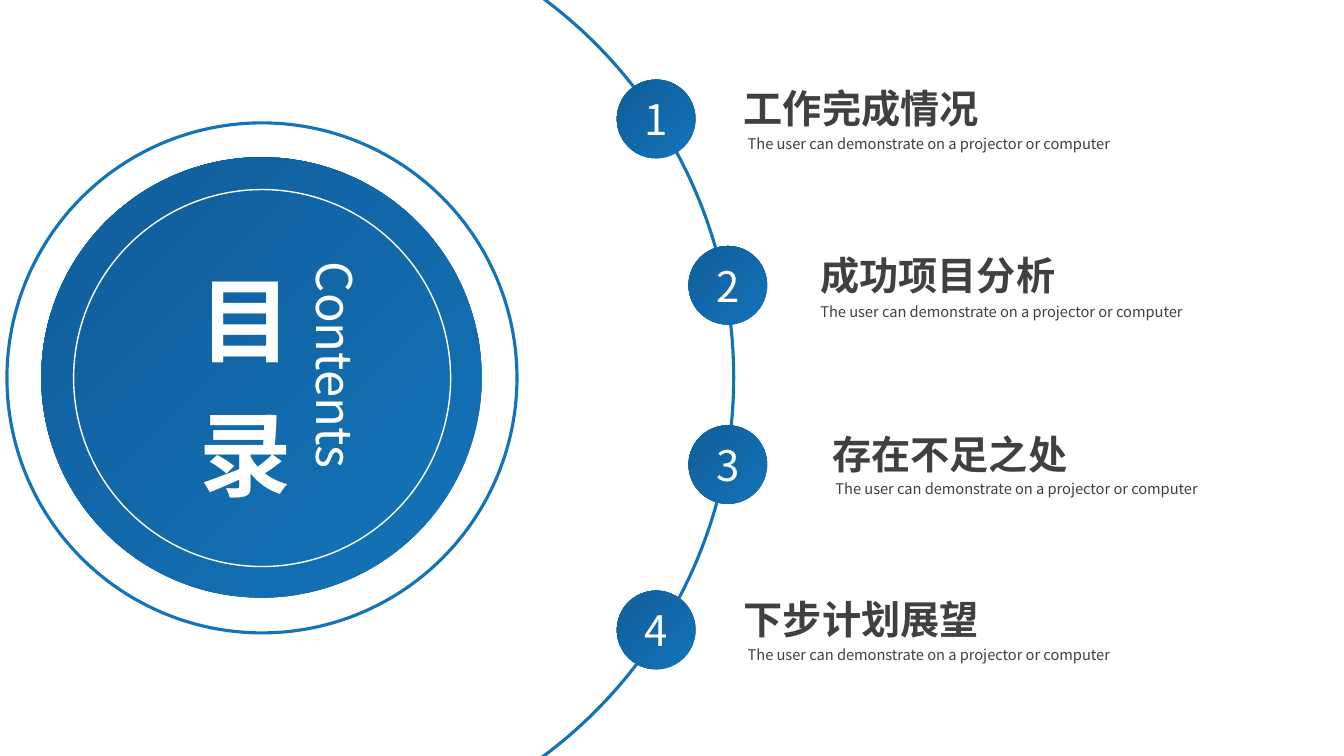
from lxml.etree import SubElement
from pptx import Presentation
from pptx.dml.color import RGBColor
from pptx.enum.shapes import MSO_SHAPE
from pptx.enum.text import MSO_ANCHOR, MSO_AUTO_SIZE, PP_ALIGN
from pptx.oxml.ns import qn
from pptx.util import Pt

FONT = "Noto Sans CJK SC"
BRIGHT_BLUE, DARK_BLUE = "1373B7", "115D9B"
WHITE, GREY = "FFFFFF", "404040"
SUBTITLE = "The user can demonstrate on a projector or computer"
BADGE_SIZE = 56.2

# heading, badge left, badge top, heading left, subtitle left, subtitle top
SECTIONS = [
    ("工作完成情况", 440.6, 56.9, 524.2, 527, 92.9),
    ("成功项目分析", 491.8, 175.7, 578.9, 578.9, 212.4),
    ("存在不足之处", 491.8, 303.8, 587.5, 589.7, 339.1),
    ("下步计划展望", 440.6, 421.9, 524.2, 527, 457.9),
]


def color(value):
    """Turn a hex string into a colour."""
    return RGBColor.from_string(value)


def add_circle(slide, left, top, size, line=None, width=0, filled=True):
    """Add a circle with the blue gradient or no fill, and an optional outline."""
    circle = slide.shapes.add_shape(MSO_SHAPE.OVAL, Pt(left), Pt(top), Pt(size), Pt(size))
    circle.shadow.inherit = False
    if filled:
        circle.fill.gradient()
        circle.fill.gradient_angle = 135
        for stop, shade in zip(circle.fill.gradient_stops, (BRIGHT_BLUE, DARK_BLUE)):
            stop.color.rgb = color(shade)
    else:
        circle.fill.background()
    if line:
        circle.line.color.rgb = color(line)
        circle.line.width = Pt(width)
    else:
        circle.line.fill.background()
    return circle


def write(shape, text, size, shade, bold=False, align=PP_ALIGN.LEFT):
    """Write one formatted paragraph and return its run."""
    shape.text_frame.text = text
    paragraph = shape.text_frame.paragraphs[0]
    paragraph.alignment = align
    paragraph.line_spacing = 1.0
    run = paragraph.runs[0]
    run.font.name = FONT
    run.font.size = Pt(size)
    run.font.bold = bold
    run.font.color.rgb = color(shade)
    SubElement(run.font._element, qn("a:ea")).set("typeface", FONT)
    return run


def add_text(shapes, box, text, size, shade, bold=False, align=PP_ALIGN.LEFT):
    """Add a wrapping text box that grows with its text."""
    label = shapes.add_textbox(*map(Pt, box))
    label.text_frame.word_wrap = True
    label.text_frame.auto_size = MSO_AUTO_SIZE.SHAPE_TO_FIT_TEXT
    write(label, text, size, shade, bold, align)
    return label


def set_vertical(shape):
    """Run the text from top to bottom."""
    shape.text_frame._txBody.bodyPr.set("vert", "eaVert")


def add_title(slide):
    """Place the vertical title above the circles, with widely spaced characters."""
    title = slide.shapes.title
    title.element.getparent().append(title.element)
    title.left, title.top, title.width, title.height = map(Pt, (110, 192, 110, 225))
    frame = title.text_frame
    frame.word_wrap = True
    frame.auto_size = MSO_AUTO_SIZE.NONE
    frame.vertical_anchor = MSO_ANCHOR.TOP
    run = write(title, "目录", 66, WHITE, True)
    run.font._element.set("spc", "3000")
    set_vertical(title)


def add_section(slide, number, section):
    """Add a numbered badge and its grouped heading and subtitle."""
    heading, badge_left, top, heading_left, subtitle_left, subtitle_top = section
    badge = add_circle(slide, badge_left, top, BADGE_SIZE)
    badge.text_frame.vertical_anchor = MSO_ANCHOR.MIDDLE
    write(badge, str(number), 30, WHITE, align=PP_ALIGN.CENTER)
    caption = slide.shapes.add_group_shape().shapes
    add_text(caption, (heading_left, top, 298, 41), heading, 28, GREY, True)
    add_text(caption, (subtitle_left, subtitle_top, 368, 20.2), SUBTITLE, 10.5, GREY)


def main():
    """Build the contents slide."""
    deck = Presentation()
    deck.slide_width, deck.slide_height = Pt(960), Pt(540)
    slide = deck.slides.add_slide(deck.slide_layouts[5])

    add_circle(slide, 5, 87.8, 364.3, BRIGHT_BLUE, 2.25, filled=False)
    add_circle(slide, 29.5, 112.3, 314.6)
    add_circle(slide, 52.6, 135.4, 269.3, WHITE, 1)
    add_circle(slide, -150.5, -67.7, 674.6, BRIGHT_BLUE, 2.25, filled=False)

    add_title(slide)
    contents = add_text(slide.shapes, (207.4, 180, 56.9, 180), "Contents", 35, WHITE,
                        align=PP_ALIGN.JUSTIFY)
    set_vertical(contents)

    for number, section in enumerate(SECTIONS, 1):
        add_section(slide, number, section)
    deck.save("out.pptx")


main()
